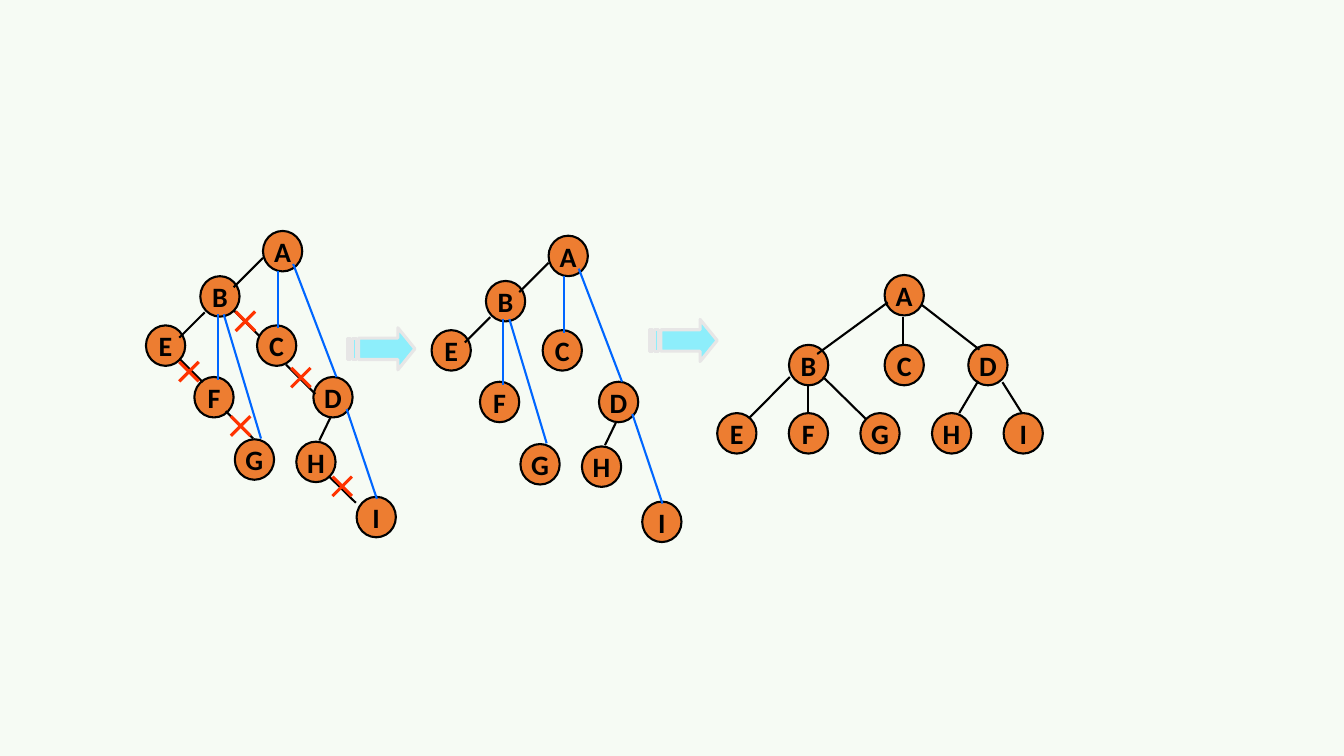
"""Build a slide that turns a binary tree back into a general tree."""
from lxml import etree
from pptx import Presentation
from pptx.dml.color import RGBColor
from pptx.enum.shapes import MSO_CONNECTOR, MSO_SHAPE
from pptx.enum.text import MSO_ANCHOR, PP_ALIGN
from pptx.oxml.ns import qn
from pptx.util import Cm, Pt

STRAIGHT = MSO_CONNECTOR.STRAIGHT
ELLIPSE = MSO_SHAPE.OVAL
MIDDLE = MSO_ANCHOR.MIDDLE
CENTER = PP_ALIGN.CENTER

FONT = "Calibri"
BACKGROUND, BLACK, ORANGE = "F6FBF4", "000000", "ED7D31"
BLUE, RED, CYAN, GRAY = "0066FF", "FF3300", "8DEEFB", "E7E6E6"
NODE_WIDTH, NODE_HEIGHT, CROSS_SIZE = 0.99, 1.02, 0.49

BINARY_NODES = {
    "A": (6.63, 5.82), "B": (5.05, 6.96), "C": (6.48, 8.2),
    "D": (7.9, 9.5), "E": (3.68, 8.2), "F": (4.9, 9.5),
    "G": (5.92, 11.07), "H": (7.47, 11.13), "I": (8.99, 12.52),
}
FIRST_CHILD_EDGES = [
    (6.63, 6.5, 5.89, 7.24), (5.16, 7.87, 4.52, 8.51), (8.33, 10.52, 8.05, 11.1),
]
SIBLING_EDGES = [
    (4.52, 9.04, 5.11, 9.63), (5.69, 10.36, 6.38, 11.05), (5.89, 7.82, 6.53, 8.46),
    (7.21, 9.19, 7.95, 9.93), (8.28, 11.99, 8.97, 12.67),
]
RESTORED_EDGES = [
    (7.01, 6.83, 7.01, 8.26), (7.39, 6.65, 8.48, 9.5), (5.49, 7.92, 5.49, 9.58),
    (5.64, 7.92, 6.58, 11.05), (8.74, 10.31, 9.5, 12.57),
]
CROSSES = [(5.94, 7.85), (7.34, 9.27), (4.52, 9.12), (5.82, 10.49), (8.38, 12.01)]
SECOND_TREE_OFFSET = (7.2, 0.12)

GENERAL_LEVELS = [
    (6.93, {"A": 22.3}),
    (8.69, {"B": 19.89, "C": 22.3, "D": 24.41}),
    (10.41, {letter: 18.08 + 1.805 * i for i, letter in enumerate("EFGHI")}),
]
GENERAL_EDGES = [
    (22.76, 7.98, 22.76, 8.71), (22.38, 7.62, 20.6, 8.92), (23.22, 7.67, 24.69, 8.81),
    (20.37, 9.73, 20.37, 10.41), (19.91, 9.5, 18.9, 10.52), (20.75, 9.5, 21.84, 10.57),
    (24.66, 9.6, 24.18, 10.41), (25.27, 9.63, 25.76, 10.41),
]

ARROWS = [(8.76, 8.26), (16.38, 8.05)]
ARROW_CONTOURS = [
    [(0.28, 0.26), (1.27, 0.26), (1.27, 0), (1.7, 0.53),
     (1.27, 1.06), (1.27, 0.8), (0.28, 0.8)],
    [(0, 0.26), (0.08, 0.26), (0.08, 0.8), (0, 0.8)],
    [(0.13, 0.26), (0.23, 0.26), (0.23, 0.8), (0.13, 0.8)],
]


def color(value):
    return RGBColor.from_string(value)


def style_shape(shape, fill, line, width):
    shape.shadow.inherit = False
    shape.fill.solid()
    shape.fill.fore_color.rgb = color(fill)
    shape.line.color.rgb = color(line)
    shape.line.width = Pt(width)


def write_text(shape, text, size=20, bold=True, text_color=BLACK):
    frame = shape.text_frame
    frame.word_wrap = False
    frame.vertical_anchor = MIDDLE
    paragraph = frame.paragraphs[0]
    paragraph.text = text
    paragraph.alignment = CENTER
    font = paragraph.runs[0].font
    font.name, font.size, font.bold = FONT, Pt(size), bold
    font.color.rgb = color(text_color)


def add_node(slide, letter, left, top):
    node = slide.shapes.add_shape(
        ELLIPSE, Cm(left), Cm(top), Cm(NODE_WIDTH), Cm(NODE_HEIGHT))
    style_shape(node, ORANGE, BLACK, 1.5)
    write_text(node, letter)


def add_lines(slide, lines, line_color=BLACK, width=1.5, offset=(0, 0)):
    dx, dy = offset
    for x1, y1, x2, y2 in lines:
        connector = slide.shapes.add_connector(
            STRAIGHT, Cm(x1 + dx), Cm(y1 + dy), Cm(x2 + dx), Cm(y2 + dy))
        connector.line.color.rgb = color(line_color)
        connector.line.width = Pt(width)
        etree.SubElement(connector._element.spPr, qn("a:effectLst"))


def add_binary_tree(slide, offset=(0, 0), black_edges=FIRST_CHILD_EDGES):
    for letter, (left, top) in BINARY_NODES.items():
        add_node(slide, letter, left + offset[0], top + offset[1])
    add_lines(slide, black_edges, offset=offset)
    add_lines(slide, RESTORED_EDGES, BLUE, offset=offset)


def add_cross(slide, left, top):
    right, bottom = left + CROSS_SIZE, top + CROSS_SIZE
    diagonals = [(left, top, right, bottom), (right, top, left, bottom)]
    add_lines(slide, diagonals, RED, 2.25)


def add_general_tree(slide):
    for top, row in GENERAL_LEVELS:
        for letter, left in row.items():
            add_node(slide, letter, left, top)
    add_lines(slide, GENERAL_EDGES)


def add_striped_arrow(slide, left, top):
    contours = [[(Cm(left + x), Cm(top + y)) for x, y in contour]
                for contour in ARROW_CONTOURS]
    builder = slide.shapes.build_freeform(*contours[0][0])
    builder.add_line_segments(contours[0][1:], close=True)
    for contour in contours[1:]:
        builder.move_to(*contour[0])
        builder.add_line_segments(contour[1:], close=True)
    style_shape(builder.convert_to_shape(), CYAN, GRAY, 2.25)


def main():
    presentation = Presentation()
    presentation.slide_width, presentation.slide_height = Cm(33.88), Cm(19.05)
    slide = presentation.slides.add_slide(presentation.slide_layouts[6])
    slide.background.fill.solid()
    slide.background.fill.fore_color.rgb = color(BACKGROUND)

    add_binary_tree(slide, black_edges=FIRST_CHILD_EDGES + SIBLING_EDGES)
    for left, top in CROSSES:
        add_cross(slide, left, top)
    add_binary_tree(slide, SECOND_TREE_OFFSET)
    add_general_tree(slide)
    for left, top in ARROWS:
        add_striped_arrow(slide, left, top)
    presentation.save("out.pptx")


if __name__ == "__main__":
    main()
